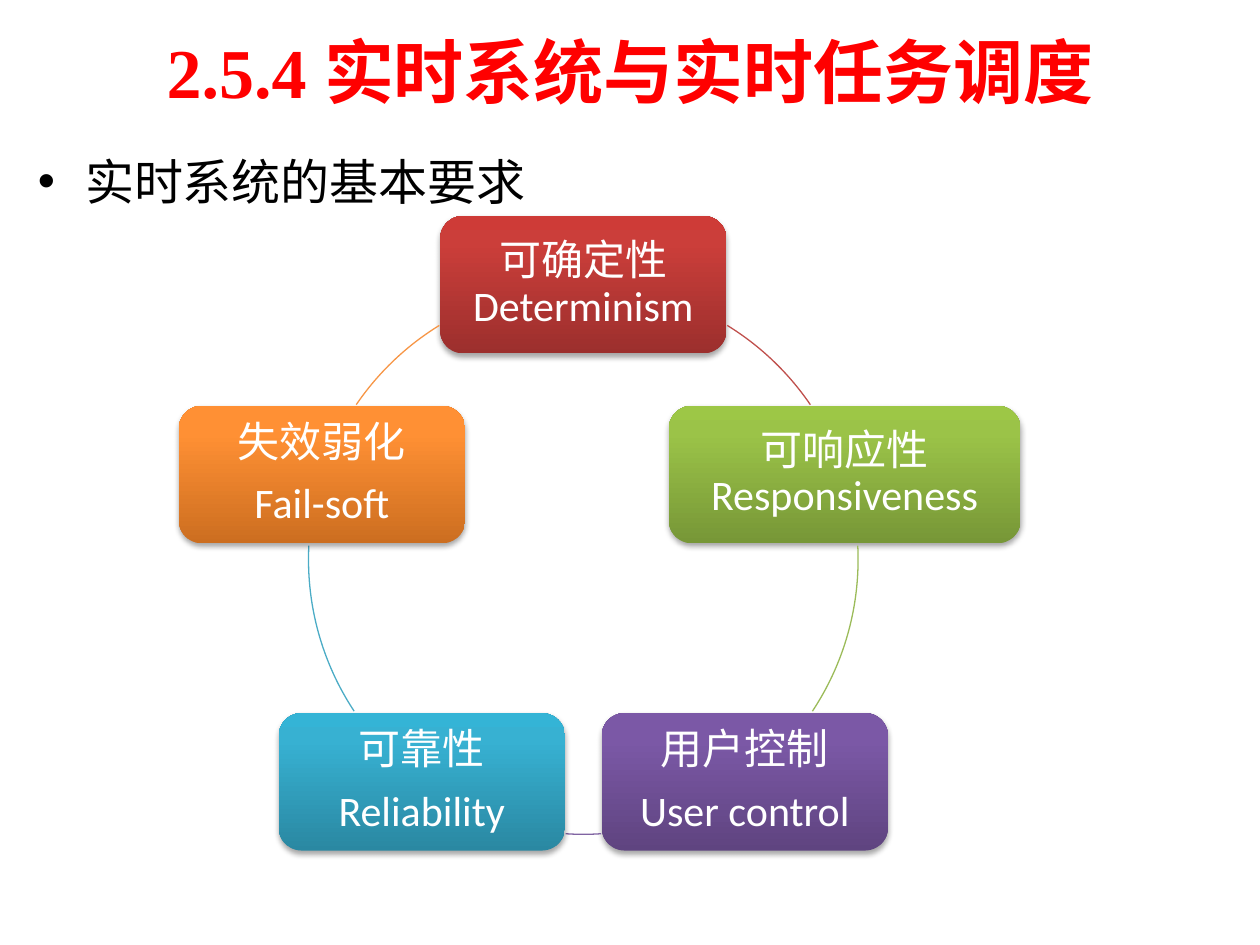
import math

from lxml import etree
from pptx import Presentation
from pptx import util as u
from pptx.dml.color import RGBColor
from pptx.enum import shapes, text
from pptx.oxml import ns

RED = RGBColor(0xFF, 0x00, 0x00)
BLACK = RGBColor(0x00, 0x00, 0x00)
WHITE = RGBColor(0xFF, 0xFF, 0xFF)
ARC_RED = RGBColor(0xC0, 0x50, 0x4D)
ARC_GREEN = RGBColor(0x9B, 0xBB, 0x59)
ARC_PURPLE = RGBColor(0x80, 0x64, 0xA2)
ARC_BLUE = RGBColor(0x4B, 0xAC, 0xC6)
ARC_ORANGE = RGBColor(0xF7, 0x96, 0x46)
REDS = [RGBColor(0x9C, 0x2F, 0x2D), RGBColor(0xCB, 0x3E, 0x3A), RGBColor(0xCE, 0x3B, 0x37)]
GREENS = [RGBColor(0x77, 0x97, 0x37), RGBColor(0x9B, 0xC3, 0x48), RGBColor(0x9D, 0xC7, 0x46)]
PURPLES = [RGBColor(0x5F, 0x44, 0x80), RGBColor(0x7B, 0x58, 0xA6), RGBColor(0x7C, 0x57, 0xA8)]
BLUES = [RGBColor(0x2A, 0x88, 0xA2), RGBColor(0x37, 0xB1, 0xD2), RGBColor(0x34, 0xB4, 0xD6)]
ORANGES = [RGBColor(0xCC, 0x6E, 0x20), RGBColor(0xFF, 0x90, 0x34), RGBColor(0xFF, 0x91, 0x36)]

CX, CY, RADIUS = 11.76, 11.28, 5.54
CARD_W, WIDE_W, CARD_H = 5.77, 7.09, 2.77

REQUIREMENTS = [
    (["可确定性Determinism"], CARD_W, REDS, ARC_RED, (301.6, 325.7)),
    (["可响应性Responsiveness"], WIDE_W, GREENS, ARC_GREEN, (357.1, 33.5)),
    (["用户控制", "User control"], CARD_W, PURPLES, ARC_PURPLE, (86.3, 93.7)),
    (["可靠性", "Reliability"], CARD_W, BLUES, ARC_BLUE, (146.5, 182.9)),
    (["失效弱化", "Fail-soft"], CARD_W, ORANGES, ARC_ORANGE, (214.3, 238.4)),
]


class Deck:
    """Holds the text styles and the current slide, and draws its elements."""

    title_style = {"name": "Times New Roman", "size": u.Pt(40), "bold": True}
    body_style = {"name": "Times New Roman", "size": u.Pt(28)}
    card_style = {"name": "Calibri", "size": u.Pt(24)}
    card_format = {"alignment": text.PP_ALIGN.CENTER, "line_spacing": 0.9,
                   "space_after": u.Pt(9)}

    def __init__(self, prs):
        self.s = prs.slides.add_slide(prs.slide_layouts[1])

    def apply(self, target, values):
        for name, value in values.items():
            setattr(target, name, value)

    def paragraphs(self, tf, lines, style, color, layout):
        for i, line in enumerate(lines):
            p = tf.paragraphs[0] if i == 0 else tf.add_paragraph()
            self.apply(p, layout)
            r = p.add_run()
            r.text = line
            self.apply(r.font, style)
            r.font.color.rgb = color

    def placeholder(self, idx, box, line, style, color, layout):
        sp = self.s.placeholders[idx]
        self.apply(sp, dict(zip(("left", "top", "width", "height"), map(u.Cm, box))))
        self.paragraphs(sp.text_frame, [line], style, color, layout)

    def card(self, x, y, w, h, lines, colors):
        sp = self.s.shapes.add_shape(shapes.MSO_SHAPE.ROUNDED_RECTANGLE,
                                     *map(u.Cm, (x - w / 2, y - h / 2, w, h)))
        sp.line.fill.background()
        self.gradient(sp, colors)
        self.shadow(sp)
        tf = sp.text_frame
        margins = ("margin_left", "margin_top", "margin_right", "margin_bottom")
        self.apply(tf, dict.fromkeys(margins, u.Cm(0.25)))
        self.apply(tf, {"word_wrap": True, "vertical_anchor": text.MSO_ANCHOR.MIDDLE})
        self.paragraphs(tf, lines, self.card_style, WHITE, self.card_format)

    def gradient(self, sp, colors):
        sp.fill.gradient()
        sp.fill.gradient_angle = 90
        stops = sp._element.spPr.find(ns.qn("a:gradFill")).find(ns.qn("a:gsLst"))
        for stop in list(stops):
            stops.remove(stop)
        for pos, color in zip((0, 80000, 100000), colors):
            gs = etree.SubElement(stops, ns.qn("a:gs"), pos=str(pos))
            etree.SubElement(gs, ns.qn("a:srgbClr"), val=str(color))

    def shadow(self, sp):
        sp.shadow.inherit = False
        effects = sp._element.spPr.find(ns.qn("a:effectLst"))
        outer = etree.SubElement(effects, ns.qn("a:outerShdw"), blurRad="40000",
                                 dist="23000", dir="5400000", rotWithShape="0")
        color = etree.SubElement(outer, ns.qn("a:srgbClr"), val=str(BLACK))
        etree.SubElement(color, ns.qn("a:alpha"), val="35000")

    def arc(self, x, y, radius, angles, color):
        sp = self.s.shapes.add_shape(shapes.MSO_SHAPE.ARC, u.Cm(x - radius), u.Cm(y - radius),
                                     u.Cm(2 * radius), u.Cm(2 * radius))
        for i, angle in enumerate(angles):
            sp.adjustments[i] = angle * 0.6
        sp.shadow.inherit = False
        sp.fill.background()
        sp.line.color.rgb = color
        sp.line.width = u.Pt(0.75)


def main():
    prs = Presentation()
    prs.slide_width, prs.slide_height = u.Cm(25.4), u.Cm(19.05)
    deck = Deck(prs)
    deck.placeholder(0, (1.27, 0.13, 22.86, 2.59), "2.5.4 实时系统与实时任务调度",
                     deck.title_style, RED, {"alignment": text.PP_ALIGN.CENTER})
    deck.placeholder(1, (0.51, 2.92, 25.4, 12.6), "实时系统的基本要求",
                     deck.body_style, BLACK, {"space_before": u.Pt(0)})
    for i, (lines, width, colors, arc_color, angles) in enumerate(REQUIREMENTS):
        turn = math.radians(72 * i - 90)
        deck.card(CX + RADIUS * math.cos(turn), CY + RADIUS * math.sin(turn),
                  width, CARD_H, lines, colors)
        deck.arc(CX, CY, RADIUS, angles, arc_color)
    prs.save("out.pptx")


if __name__ == "__main__":
    main()
